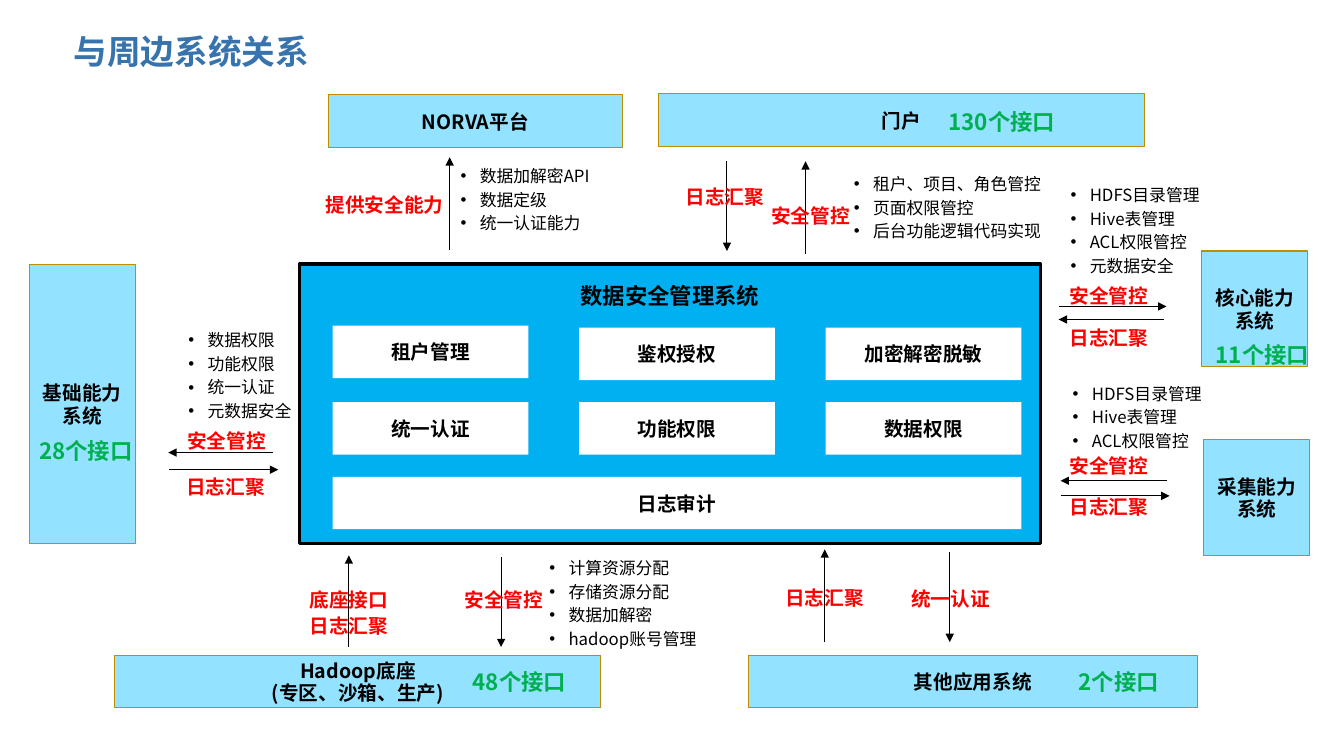
from lxml import etree
from pptx import Presentation
from pptx.dml.color import RGBColor
from pptx.enum import shapes, text
from pptx.oxml import ns
from pptx.util import Inches, Pt

FONT = "Noto Sans CJK SC"
BLACK, WHITE, RED, GREEN = "000000", "FFFFFF", "FF0000", "00B050"
LINE_FACTOR = 1.17

TITLE = "与周边系统关系"
CORE = ("数据安全管理系统", (2.97, 2.62, 7.35, 2.77))

MODULE_LEFT, MODULE_STEP, MODULE_WIDTH, MODULE_HEIGHT = 3.3, 2.445, 1.94, 0.52
MODULES = [
    [("租户管理", 3.23), ("鉴权授权", 3.25), ("加密解密脱敏", 3.25)],
    [("统一认证", 3.99), ("功能权限", 3.99), ("数据权限", 3.99)],
]
AUDIT = ("日志审计", (3.3, 4.73, 6.83, 0.52))

SYSTEMS = [
    (["NORVA平台"], (3.26, 0.94, 2.91, 0.52)),
    (["门户"], (6.53, 0.93, 4.82, 0.52)),
    (["基础能力系统"], (0.29, 2.62, 1.05, 2.77)),
    (["核心能力系统"], (11.92, 2.49, 1.05, 1.15)),
    (["采集能力系统"], (11.94, 4.36, 1.05, 1.15)),
    (["Hadoop底座", "(专区、沙箱、生产)"], (1.14, 6.5, 4.82, 0.52)),
    (["其他应用系统"], (7.42, 6.5, 4.46, 0.52)),
]

FLOWS = [
    ((4.46, 2.48), (4.46, 1.56)),
    ((7.21, 1.6), (7.21, 2.49)),
    ((7.99, 2.52), (7.99, 1.6)),
    ((2.71, 4.49), (1.67, 4.49)),
    ((1.68, 4.66), (2.76, 4.66)),
    ((10.5, 3.04), (11.57, 3.04)),
    ((11.54, 3.17), (10.5, 3.17)),
    ((11.57, 4.77), (10.52, 4.77)),
    ((10.52, 4.92), (11.6, 4.92)),
    ((3.46, 6.42), (3.46, 5.51)),
    ((4.97, 5.53), (4.97, 6.42)),
    ((8.18, 6.37), (8.18, 5.45)),
    ((9.42, 5.48), (9.42, 6.37)),
]

DUTIES = [
    (["数据加解密API", "数据定级", "统一认证能力"], (4.47, 1.59, 1.73, 1)),
    (["租户、项目、角色管控", "页面权限管控", "后台功能逻辑代码实现"], (8.37, 1.67, 1.98, 1.13)),
    (["数据权限", "功能权限", "统一认证", "元数据安全"], (1.77, 3.22, 1.42, 1.11)),
    (["HDFS目录管理", "Hive表管理", "ACL权限管控", "元数据安全"], (10.52, 1.78, 1.73, 1.03)),
    (["HDFS目录管理", "Hive表管理", "ACL权限管控"], (10.54, 3.75, 1.73, 1.03)),
    (["计算资源分配", "存储资源分配", "数据加解密", "hadoop账号管理"], (5.35, 5.48, 1.98, 1.13)),
]

FLOW_NAMES = [
    ("提供安全能力", (3.13, 1.86, 1.79, 1)),
    ("日志汇聚", (6.7, 1.78, 1.02, 0.42)),
    ("安全管控", (7.55, 1.97, 1.79, 0.36)),
    ("安全管控", (1.76, 4.2, 1.79, 0.36)),
    ("日志汇聚", (1.75, 4.66, 1.79, 0.36)),
    ("安全管控", (10.51, 2.76, 1.79, 0.36)),
    ("日志汇聚", (10.51, 3.18, 1.79, 0.36)),
    ("安全管控", (10.51, 4.45, 1.79, 0.36)),
    ("日志汇聚", (10.51, 4.86, 1.79, 0.36)),
    ("底座接口", (2.97, 5.78, 1.02, 0.42)),
    ("日志汇聚", (2.97, 6.04, 1.02, 0.42)),
    ("安全管控", (4.51, 5.78, 1.79, 0.36)),
    ("日志汇聚", (7.69, 5.76, 1.73, 0.42)),
    ("统一认证", (8.94, 5.77, 1.79, 0.36)),
]

INTERFACE_COUNTS = [
    ("130个接口", (9.31, 1.02, 1, 0.38)),
    ("28个接口", (0.29, 4.28, 1, 1)),
    ("11个接口", (11.96, 3.33, 1, 1)),
    ("48个接口", (4.59, 6.58, 1, 0.4)),
    ("2个接口", (10.6, 6.57, 1, 0.38)),
]


def rgb(color):
    return RGBColor.from_string(color)


def inches(box):
    return [Inches(length) for length in box]


def write(frame, lines, size=14, color=BLACK, bold=True, center=False,
          middle=False, wrap=True, bullet=False, factor=LINE_FACTOR):
    frame.word_wrap = wrap
    frame.auto_size = text.MSO_AUTO_SIZE.NONE
    frame.margin_top = Inches(0.06)
    frame.margin_bottom = Inches(0.05)
    frame.vertical_anchor = text.MSO_ANCHOR.MIDDLE if middle else text.MSO_ANCHOR.TOP
    for index, line in enumerate(lines):
        paragraph = frame.paragraphs[0] if index == 0 else frame.add_paragraph()
        paragraph.alignment = text.PP_ALIGN.CENTER if center else text.PP_ALIGN.LEFT
        paragraph.line_spacing = Pt(round(size * factor, 1))
        paragraph.space_before = Pt(2.8 if bullet and index else 0)
        if bullet:
            properties = paragraph._p.get_or_add_pPr()
            properties.set("marL", str(Inches(0.19)))
            properties.set("indent", str(-Inches(0.19)))
            etree.SubElement(properties, ns.qn("a:buFont"), typeface="Arial")
            etree.SubElement(properties, ns.qn("a:buChar"), char="•")
        run = paragraph.add_run()
        run.text = line
        run.font.size = Pt(size)
        run.font.bold = bold
        run.font.color.rgb = rgb(color)
        run.font.name = FONT
        etree.SubElement(run._r.get_or_add_rPr(), ns.qn("a:ea"), typeface=FONT)


def add_box(slide, lines, box, fill, border=None, width=0.75, rounded=True, **style):
    kind = shapes.MSO_SHAPE.ROUNDED_RECTANGLE if rounded else shapes.MSO_SHAPE.RECTANGLE
    panel = slide.shapes.add_shape(kind, *inches(box))
    if rounded:
        panel.adjustments[0] = 0
    panel.shadow.inherit = False
    panel.fill.solid()
    panel.fill.fore_color.rgb = rgb(fill)
    if border:
        panel.line.color.rgb = rgb(border)
        panel.line.width = Pt(width)
    else:
        panel.line.fill.background()
    write(panel.text_frame, lines, center=True, **style)


def add_note(slide, lines, box, **style):
    note = slide.shapes.add_textbox(*inches(box))
    write(note.text_frame, lines, wrap=False, **style)


def add_flow(slide, start, end):
    flow = slide.shapes.add_connector(shapes.MSO_CONNECTOR.STRAIGHT, *inches(start + end))
    flow.line.color.rgb = rgb(BLACK)
    flow.line.width = Pt(0.75)
    etree.SubElement(flow.line._get_or_add_ln(), ns.qn("a:tailEnd"), type="triangle")
    etree.SubElement(flow._element.spPr, ns.qn("a:effectLst"))


def main():
    deck = Presentation()
    deck.slide_width, deck.slide_height = Inches(13.33), Inches(7.5)
    slide = deck.slides.add_slide(deck.slide_layouts[5])

    title = slide.shapes.title
    title.left, title.top, title.width, title.height = inches((0.63, 0.19, 7.92, 0.63))
    write(title.text_frame, [TITLE], size=24, color="3773AC", middle=True)

    name, box = CORE
    add_box(slide, [name], box, "00B0F0", BLACK, 2.25, rounded=False, size=16, factor=1.75)
    for row in MODULES:
        for column, (name, top) in enumerate(row):
            left = MODULE_LEFT + column * MODULE_STEP
            add_box(slide, [name], (left, top, MODULE_WIDTH, MODULE_HEIGHT), WHITE, middle=True)
    name, box = AUDIT
    add_box(slide, [name], box, WHITE, middle=True)

    for lines, box in SYSTEMS:
        add_box(slide, lines, box, "93E2FF", "BD8E00", middle=True)
    for start, end in FLOWS:
        add_flow(slide, start, end)
    for lines, box in DUTIES:
        add_note(slide, lines, box, size=12, bold=False, bullet=True)
    for name, box in FLOW_NAMES:
        add_note(slide, [name], box, color=RED)
    for count, box in INTERFACE_COUNTS:
        add_note(slide, [count], box, size=16, color=GREEN)

    deck.save("out.pptx")


if __name__ == "__main__":
    main()
